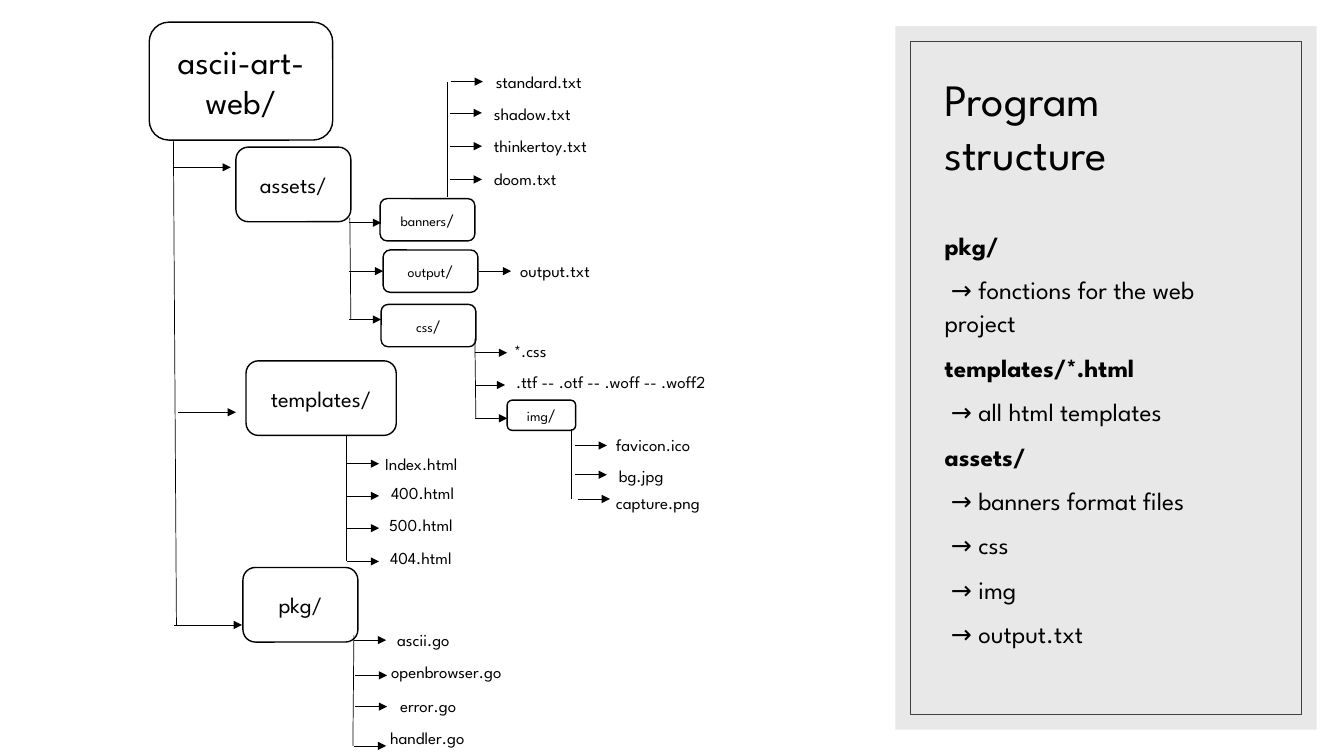
from pptx import Presentation
from pptx.dml.color import RGBColor
from pptx.enum.shapes import MSO_CONNECTOR as Connector, MSO_SHAPE as Shape
from pptx.enum.text import MSO_ANCHOR as Anchor, MSO_AUTO_SIZE as AutoSize, PP_ALIGN as Align
from pptx.oxml.ns import qn
from pptx.util import Inches, Pt
from lxml.etree import SubElement

FONT = "League Spartan"
BLACK, WHITE, PANEL, FRAME = "000000", "FFFFFF", "D9D9D9", "404040"
STEP = 0.32  # usual arrow length

NOTES = ["pkg/", " → fonctions for the web project", "templates/*.html",
         " → all html templates", "assets/", " → banners format files",
         " → css", " → img", " → output.txt"]

# Folder name, size of name, size of slash, box
FOLDERS = [
    ("ascii-art-web", 24, 24, (1.48, 0.22, 1.82, 1.17)),
    ("assets", 16, 16, (2.34, 1.46, 1.14, 0.74)),
    ("templates", 16, 16, (2.44, 3.58, 1.49, 0.74)),
    ("pkg", 16, 16, (2.41, 5.63, 1.14, 0.74)),
    ("banners", 10, 12, (3.77, 1.97, 0.94, 0.42)),
    ("output", 10, 12, (3.8, 2.48, 0.94, 0.42)),
    ("css", 10, 12, (3.78, 3.02, 0.94, 0.42)),
    ("img", 10, 12, (5.03, 3.97, 0.68, 0.3)),
]

# Trunk (left, top, lean, height), then its arrows (dx, dy, length)
# and its files (name, dx, dy, width), all measured from the trunk's top
BRANCHES = [
    # ascii-art-web/
    ((1.72, 1.4, 0.03, 4.81),
     [(0, 0.26, 0.57), (0.05, 2.69, 0.57), (0.01, 4.8, 0.67)], []),
    # assets/
    ((3.47, 2.16, 0.01, 1.01),
     [(-0.01, 0.05, STEP), (-0.01, 0.53, 0.34), (-0.01, 1.01, STEP)], []),
    # templates/
    ((3.44, 4.32, 0, 1.25),
     [(0, dy, STEP) for dy in (0.28, 0.6, 0.92, 1.25)],
     [("Index.html", 0.28, 0.13, 1.05), ("400.html", 0.34, 0.42, 0.88),
      ("500.html", 0.32, 0.74, 0.88), ("404.html", 0.33, 1.06, 0.88)]),
    # pkg/
    ((3.51, 6.3, -0.01, 1.1),
     [(0, 0.05, STEP), (0.01, 0.4, STEP), (0.01, 0.71, STEP), (0, 1.1, STEP)],
     [("ascii.go", 0.33, -0.1, 0.83), ("openbrowser.go", 0.27, 0.22, 1.55),
      ("error.go", 0.36, 0.55, 0.85), ("handler.go", 0.26, 0.87, 1.1)]),
    # banners/
    ((4.44, 0.81, 0, 1.14),
     [(0.03, 0, STEP), (0.02, 0.31, STEP), (0.02, 0.64, STEP), (0.02, 0.97, STEP)],
     [("standard.txt", 0.38, -0.15, 1.2), ("shadow.txt", 0.36, 0.17, 1.1),
      ("thinkertoy.txt", 0.36, 0.49, 1.25), ("doom.txt", 0.36, 0.81, 0.94)]),
    # output/
    ((4.75, 2.69, 0, 0), [(0, 0, STEP)], [("output.txt", 0.31, -0.15, 0.99)]),
    # css/
    ((4.71, 3.36, 0.01, 0.79),
     [(0, 0.14, STEP), (0.01, 0.46, 0.29), (0, 0.79, STEP)],
     [("*.css", 0.29, -0.03, 0.56),
      (".ttf -- .otf -- .woff -- .woff2", 0.31, 0.28, 2.21)]),
    # img/
    ((5.67, 4.26, 0, 0.69),
     [(0.03, 0.16, STEP), (0.03, 0.45, STEP), (0.06, 0.69, STEP)],
     [("favicon.ico", 0.34, 0, 1.12), ("bg.jpg", 0.37, 0.31, 0.74),
      ("capture.png", 0.34, 0.58, 1.24)]),
]


def color(hex_text):
    return RGBColor.from_string(hex_text)


def style(span, size, bold=False):
    span.font.name = FONT
    span.font.size = Pt(size)
    span.font.bold = bold
    span.font.color.rgb = color(BLACK)


def place(shape, box):
    shape.left, shape.top, shape.width, shape.height = map(Inches, box)


def add_box(slide, kind, box, fill=None, line=None, width=1):
    shape = slide.shapes.add_shape(kind, *map(Inches, box))
    shape.shadow.inherit = False
    if fill:
        shape.fill.solid()
        shape.fill.fore_color.rgb = color(fill)
    else:
        shape.fill.background()
    if line:
        shape.line.color.rgb = color(line)
        shape.line.width = Pt(width)
    else:
        shape.line.fill.background()
    return shape


def add_line(slide, left, top, right, bottom, arrow=False):
    line = slide.shapes.add_connector(
        Connector.STRAIGHT, *map(Inches, (left, top, right, bottom)))
    line.line.color.rgb = color(BLACK)
    line.line.width = Pt(0.5)
    if arrow:
        SubElement(line.get_or_add_ln(), qn("a:tailEnd"), type="triangle")
    SubElement(line.element.spPr, qn("a:effectLst"))


def add_folder(slide, name, size, slash_size, box):
    shape = add_box(slide, Shape.ROUNDED_RECTANGLE, box, WHITE, BLACK)
    frame = shape.text_frame
    frame.word_wrap = True
    frame.vertical_anchor = Anchor.MIDDLE
    para = frame.paragraphs[0]
    para.alignment = Align.CENTER
    for text, points in ((name, size), ("/", slash_size)):
        span = para.add_run()
        span.text = text
        style(span, points)


def add_file(slide, name, left, top, width):
    label = slide.shapes.add_textbox(*map(Inches, (left, top, width, 0.3)))
    frame = label.text_frame
    frame.text = name
    frame.word_wrap = False
    frame.auto_size = AutoSize.SHAPE_TO_FIT_TEXT
    style(frame.paragraphs[0].runs[0], 12)


def add_branch(slide, trunk, arrows, files):
    left, top, lean, height = trunk
    if height:
        add_line(slide, left, top, left + lean, top + height)
    for dx, dy, length in arrows:
        start, level = left + dx, top + dy
        add_line(slide, start, level, start + length, level, arrow=True)
    for name, dx, dy, width in files:
        add_file(slide, name, left + dx, top + dy, width)


def add_panel(slide, box):
    left, top, width, height = box
    title, body = slide.placeholders[0], slide.placeholders[1]

    # Grey card and thin frame
    card = add_box(slide, Shape.RECTANGLE, box, PANEL)
    tint = card.element.spPr.find(qn("a:solidFill"))[0]
    SubElement(tint, qn("a:alpha"), val="60000")
    inset = 0.15
    add_box(slide, Shape.RECTANGLE,
            (left + inset, top + inset, width - 2 * inset, height - 2 * inset),
            line=FRAME, width=0.5)

    # Placeholders in front of the card
    for holder, offset, tall in ((title, 0.4, 1.17), (body, 1.94, 4.64)):
        slide.shapes.element.append(holder.element)
        place(holder, (left + 0.39, top + offset, 3.44, tall))
        holder.text_frame.word_wrap = True
        holder.text_frame.auto_size = AutoSize.NONE
    title.text_frame.text = "Program\vstructure"
    title.text_frame.vertical_anchor = Anchor.BOTTOM
    body.text_frame.text = "\n".join(NOTES)
    body.text_frame.vertical_anchor = Anchor.TOP

    para = title.text_frame.paragraphs[0]
    para.alignment = Align.LEFT
    for span in para.runs:
        style(span, 32)
    for para in body.text_frame.paragraphs:
        para.line_spacing = 1.1
        para.space_before = Pt(8)
        settings = para._p.get_or_add_pPr()
        settings.set("marL", "0")
        settings.set("indent", "0")
        SubElement(settings, qn("a:buNone"))
        style(para.runs[0], 18, bold="→" not in para.text)


def main():
    deck = Presentation()
    deck.slide_width, deck.slide_height = Inches(13.33), Inches(7.5)
    slide = deck.slides.add_slide(deck.slide_layouts[1])
    add_panel(slide, (8.88, 0.26, 4.18, 6.98))
    for folder in FOLDERS:
        add_folder(slide, *folder)
    for branch in BRANCHES:
        add_branch(slide, *branch)
    deck.save("out.pptx")


if __name__ == "__main__":
    main()
